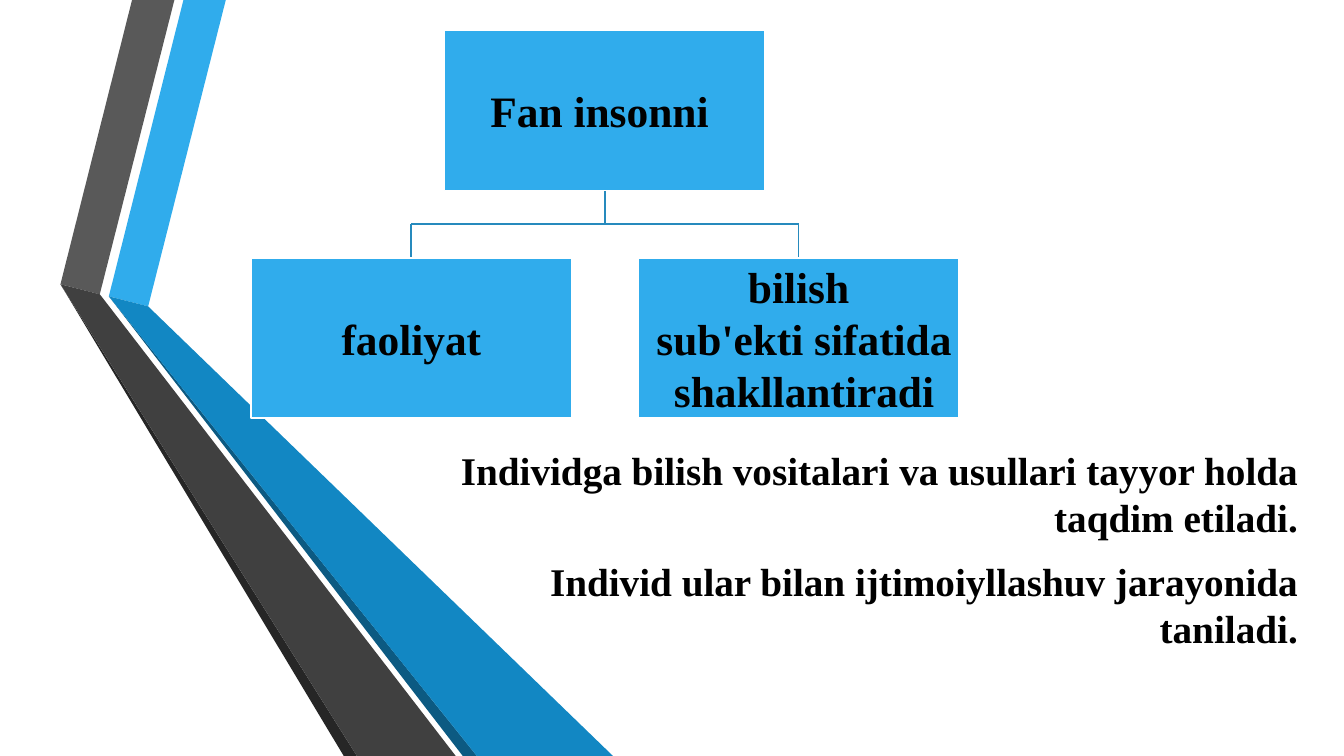
import pptx
import pptx.util
import pptx.dml.color
import pptx.enum.shapes
import pptx.enum.text
import pptx.oxml

Inches = pptx.util.Inches
Pt = pptx.util.Pt

RIBBONS = [
    ("30ACEC", [(1.08, 2.94), (1.47, 3.04), (2.24, 0), (1.82, 0)]),
    ("595959", [(0.99, 2.92), (1.73, 0), (1.31, 0), (0.6, 2.82)]),
    ("262626", [(0.6, 2.82), (3.41, 7.5), (3.54, 7.5)]),
    ("0C5A82", [(4.73, 7.5), (1.08, 2.94), (4.59, 7.5)]),
    ("1287C3", [(1.08, 2.94), (4.73, 7.5), (6.08, 7.5), (1.47, 3.04)]),
    ("404040", [(4.52, 7.5), (1.06, 3.01), (0.99, 2.92), (0.6, 2.82), (3.54, 7.5)]),
]
PARENT = ["Fаn insоnni "]
CHILDREN = [
    ["fаоliyat"],
    ["bilish", " sub'еkti sifаtidа", " shаkllаntirаdi"],
]
STATEMENTS = [
    "Individgа bilish vоsitаlаri vа usullаri tаyyor hоldа tаqdim etilаdi.",
    "Individ ulаr bilаn ijtimоiyllashuv jarаyonidа tаnilаdi.",
]
FONT = "Times New Roman"
BOX_WIDTH, BOX_HEIGHT = 3.18, 1.59
CENTER, PARENT_TOP, CHILD_TOP = 6, 0.3, 2.56
CHILD_STEP = 3.84

presentation = pptx.Presentation()
presentation.slide_width = Inches(13.33)
presentation.slide_height = Inches(7.5)
slide = presentation.slides.add_slide(presentation.slide_layouts[6])


def color(value):
    return pptx.dml.color.RGBColor.from_string(value)


def paint(shape, fill, line=None):
    shape.shadow.inherit = False
    shape.fill.solid()
    shape.fill.fore_color.rgb = color(fill)
    if line:
        shape.line.color.rgb = color(line)
        shape.line.width = Pt(1.25)
    else:
        shape.line.fill.background()


def write(shape, lines, size, align, anchor, inset, before=0, after=0):
    frame = shape.text_frame
    frame.word_wrap = True
    frame.vertical_anchor = anchor
    frame.margin_left = frame.margin_right = Inches(inset[0])
    frame.margin_top = frame.margin_bottom = Inches(inset[1])
    for index, text in enumerate(lines):
        paragraph = frame.add_paragraph() if index else frame.paragraphs[0]
        paragraph.alignment = align
        paragraph.space_before = Pt(before if index else 0)
        paragraph.space_after = Pt(after)
        run = paragraph.add_run()
        run.text = text
        run.font.name = FONT
        run.font.size = Pt(size)
        run.font.bold = True
        run.font.color.rgb = color("000000")


def add_box(center, top, lines):
    box = slide.shapes.add_shape(
        pptx.enum.shapes.MSO_SHAPE.RECTANGLE,
        Inches(center - BOX_WIDTH / 2), Inches(top), Inches(BOX_WIDTH), Inches(BOX_HEIGHT))
    paint(box, "30ACEC", "FFFFFF")
    write(box, lines, 31, pptx.enum.text.PP_ALIGN.CENTER,
          pptx.enum.text.MSO_ANCHOR.MIDDLE, (0.02, 0.02))
    return box


def add_line(start, end):
    connector = slide.shapes.add_connector(
        pptx.enum.shapes.MSO_CONNECTOR.STRAIGHT, *map(Inches, start + end))
    connector.line.color.rgb = color("268ABD")
    connector.line.width = Pt(1.25)
    connector._element.spPr.append(pptx.oxml.parse_xml(
        '<a:effectLst xmlns:a="http://schemas.openxmlformats.org/drawingml/2006/main"/>'))
    return connector


for fill, points in RIBBONS:
    corners = [(Inches(x), Inches(y)) for x, y in points]
    builder = slide.shapes.build_freeform(*corners[0])
    builder.add_line_segments(corners[1:], close=True)
    paint(builder.convert_to_shape(), fill)

body = slide.shapes.add_textbox(Inches(4.42), Inches(4.38), Inches(8.55), Inches(2.84))
write(body, STATEMENTS, 28, pptx.enum.text.PP_ALIGN.RIGHT,
      pptx.enum.text.MSO_ANCHOR.TOP, (0.1, 0.05), before=5.6, after=6)

child_centers = [CENTER + (index - (len(CHILDREN) - 1) / 2) * CHILD_STEP
                 for index in range(len(CHILDREN))]
parent_bottom = PARENT_TOP + BOX_HEIGHT
bar_height = (parent_bottom + CHILD_TOP) / 2

trunk = add_line((CENTER, parent_bottom), (CENTER, bar_height))
add_line((child_centers[0], bar_height), (child_centers[-1], bar_height))
drops = [add_line((center, bar_height), (center, CHILD_TOP)) for center in child_centers]

trunk.begin_connect(add_box(CENTER, PARENT_TOP, PARENT), 2)
for center, lines, drop in zip(child_centers, CHILDREN, drops):
    drop.end_connect(add_box(center, CHILD_TOP, lines), 0)

presentation.save("out.pptx")
